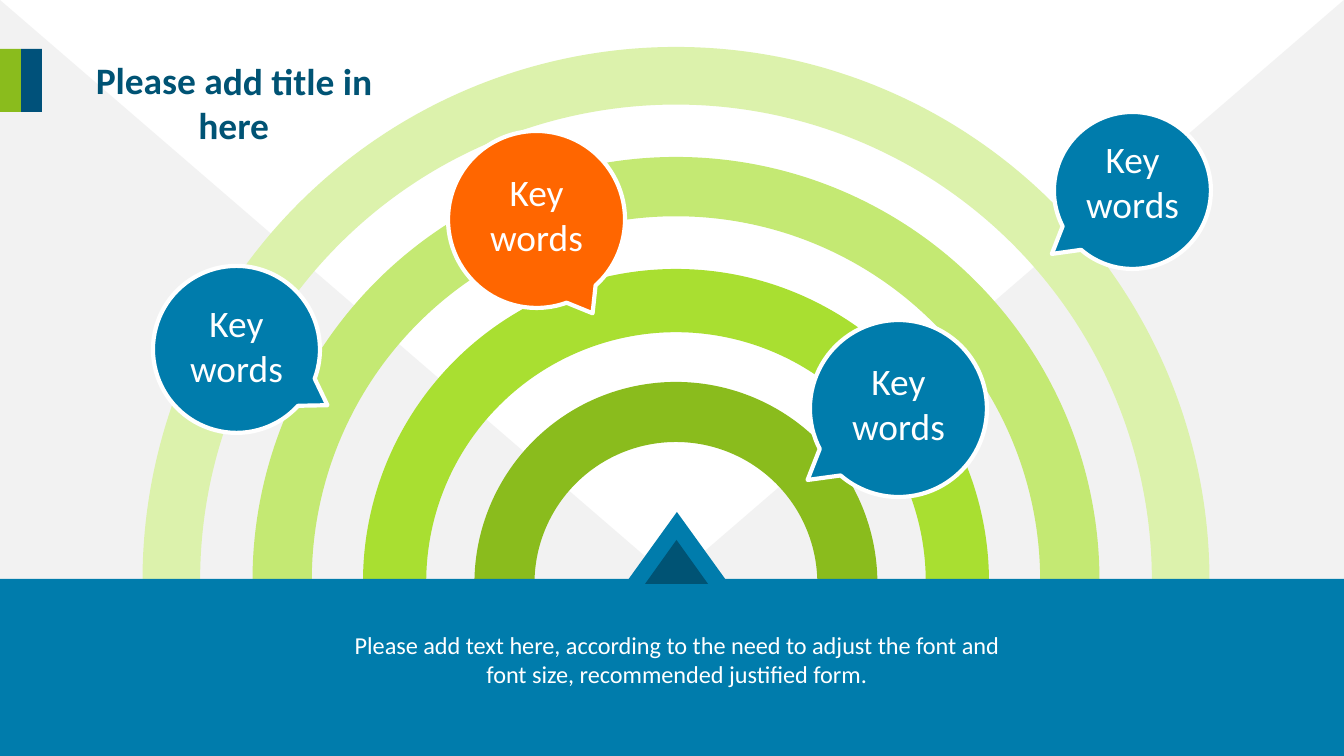
from pptx import Presentation
from pptx.dml.color import RGBColor
from pptx.enum.shapes import MSO_SHAPE
from pptx.enum.text import MSO_ANCHOR, MSO_AUTO_SIZE, PP_ALIGN
from pptx.util import Emu, Pt

RECTANGLE = MSO_SHAPE.RECTANGLE
TRIANGLE = MSO_SHAPE.ISOSCELES_TRIANGLE
RIGHT_TRIANGLE = MSO_SHAPE.RIGHT_TRIANGLE
ARC = MSO_SHAPE.BLOCK_ARC
BUBBLE = MSO_SHAPE.OVAL_CALLOUT
CENTER = PP_ALIGN.CENTER
TOP = MSO_ANCHOR.TOP
FIT_SHAPE = MSO_AUTO_SIZE.SHAPE_TO_FIT_TEXT

EMU_PER_PX = 914400 / 134.4
WIDTH, HEIGHT = 1344, 756

WHITE, GREY = "FFFFFF", "F2F2F2"
BLUE, DARK_BLUE, NAVY = "007CAC", "005374", "00517A"
GREEN, ORANGE = "8ABC1D", "FF6600"


def px(length):
    return Emu(round(length * EMU_PER_PX))


def color(hex_text):
    return RGBColor.from_string(hex_text)


class Page:
    """Holds the text style and the slide being built."""
    font = "Calibri"

    def __init__(self, deck):
        self.slide = deck.slides.add_slide(deck.slide_layouts[5])

    def shape(self, kind, left, top, width, height, fill, line=None,
              adjustments=(), flip=False, parent=None):
        shapes = (parent or self.slide).shapes
        shape = shapes.add_shape(kind, px(left), px(top), px(width), px(height))
        shape.shadow.inherit = False
        shape.fill.solid()
        shape.fill.fore_color.rgb = color(fill)
        if line:
            shape.line.color.rgb = color(line)
            shape.line.width = Pt(2.25)
        else:
            shape.line.fill.background()
        for index, value in enumerate(adjustments):
            shape.adjustments[index] = value
        if flip:
            shape.element.spPr.get_or_add_xfrm().set("flipH", "1")
        return shape

    def fill_text(self, box, text, size=20, fill=WHITE, bold=False, wrap=False, after=0):
        """Fill a box with centred text, one paragraph per line."""
        frame = box.text_frame
        frame.text = text
        frame.word_wrap = wrap
        frame.auto_size = FIT_SHAPE
        frame.vertical_anchor = TOP
        for para in frame.paragraphs:
            para.alignment = CENTER
            para.space_after = Pt(after)
            para.font.name = self.font
            para.font.size = Pt(size)
            para.font.bold = bold
            para.font.color.rgb = color(fill)

    def text(self, text, left, top, width, height, parent=None, **style):
        shapes = (parent or self.slide).shapes
        box = shapes.add_textbox(px(left), px(top), px(width), px(height))
        self.fill_text(box, text, **style)

    def title(self, text, left, top, width, height, rotation=0, **style):
        """Place the title above the shapes drawn so far."""
        title = self.slide.shapes.title
        title.left, title.top = px(left), px(top)
        title.width, title.height = px(width), px(height)
        title.rotation = rotation
        title.element.getparent().append(title.element)
        self.fill_text(title, text, **style)

    def callout(self, text, left, top, size, text_top, fill, tail, flip=False):
        group = self.slide.shapes.add_group_shape()
        self.shape(BUBBLE, left, top, size, size, fill, line=WHITE,
                   adjustments=tail, flip=flip, parent=group)
        text_width = 121
        self.text(text, left + (size - text_width) / 2, text_top, text_width, 103,
                  parent=group)


def main():
    deck = Presentation()
    deck.slide_width, deck.slide_height = px(WIDTH), px(HEIGHT)
    page = Page(deck)

    side_width = 676
    page.shape(RIGHT_TRIANGLE, WIDTH - side_width, 0, side_width, 583, GREY, flip=True)
    page.shape(RIGHT_TRIANGLE, 0, 0, side_width, 583, GREY)

    arc_center = 676
    for top, size, thickness, fill in (
        (47, 1067, 0.054, "DCF2AC"),
        (157, 847, 0.07, "C4E973"),
        (269, 626, 0.101, "A9DF31"),
        (382, 403, 0.149, GREEN),
    ):
        page.shape(ARC, arc_center - size / 2, top, size, size, fill,
                   adjustments=(108, 0, thickness))

    page.shape(RECTANGLE, 0, 579, WIDTH, 177, BLUE)
    page.shape(TRIANGLE, 628, 512, 98, 68, BLUE)
    page.shape(TRIANGLE, 645, 540, 63, 44, DARK_BLUE)

    for left, fill in ((0, GREEN), (21, NAVY)):
        page.shape(RECTANGLE, left, 49, 21, 63, fill)
    page.title("Please add title in here", 43, 51, 382, 59, rotation=0.3,
               fill=DARK_BLUE, bold=True)
    page.text("Please add text here, according to the need to adjust the font and "
              "font size, recommended justified form.",
              319, 624, 715, 73, size=13, wrap=True, after=6)

    for left, top, size, text_top, fill, tail, flip in (
        (810, 320, 177, 352, BLUE, (-0.514, 0.404), False),
        (1054, 112, 157, 130, BLUE, (-0.514, 0.404), False),
        (153, 266, 167, 294, BLUE, (-0.545, 0.334), True),
        (448, 131, 177, 163, ORANGE, (-0.317, 0.53), True),
    ):
        page.callout("Key\nwords", left, top, size, text_top, fill, tail, flip)

    deck.save("out.pptx")


if __name__ == "__main__":
    main()
